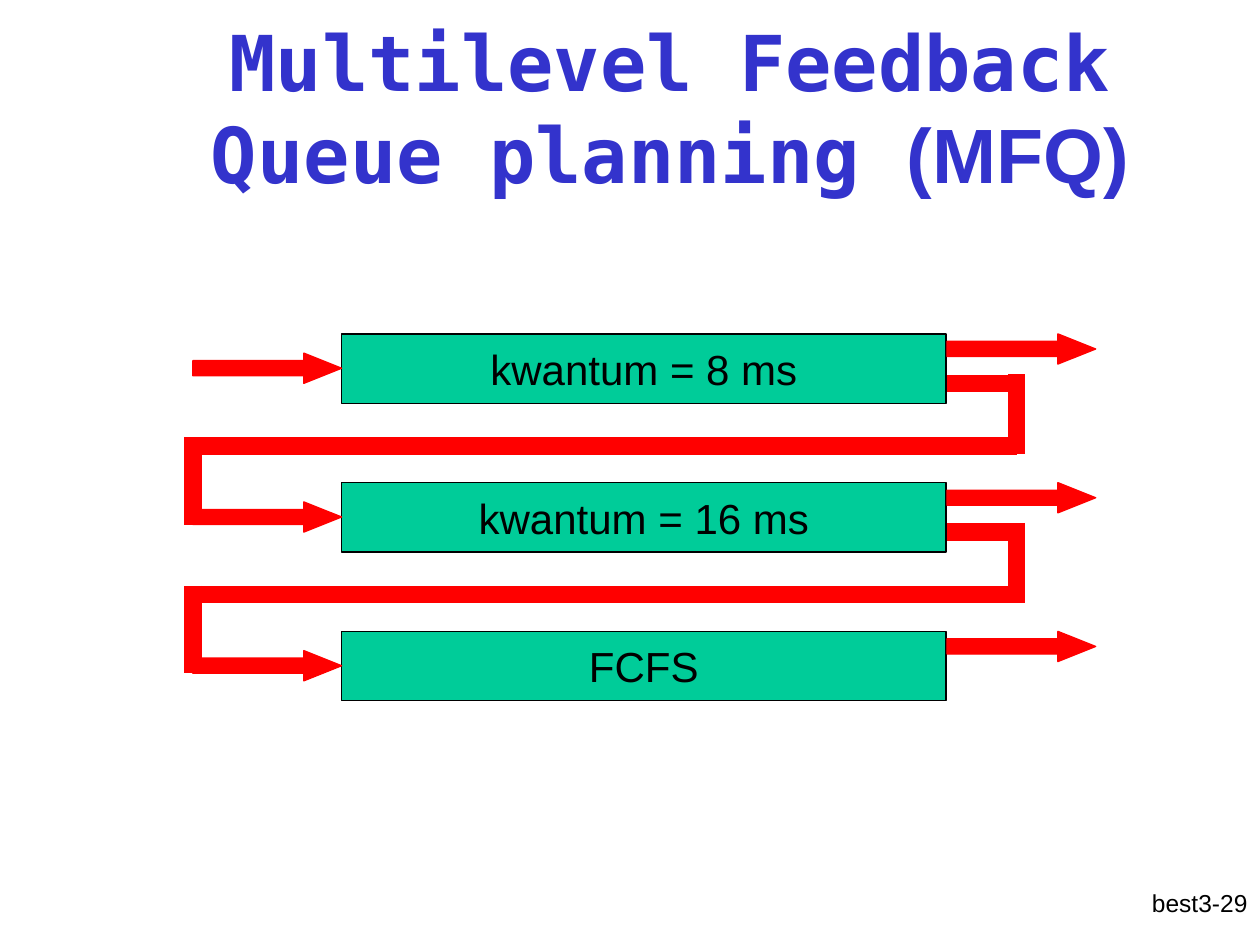
from lxml import etree
from pptx import Presentation
from pptx.dml.color import RGBColor
from pptx.enum import shapes, text
from pptx.oxml import ns
from pptx.util import Pt

COLORS = {"title": "3333CC", "queue": "00CC99", "flow": "FF0000", "ink": "000000"}
QUEUES = ["kwantum = 8 ms", "kwantum = 16 ms", "FCFS"]
LEFT, RIGHT, TOP, STEP = 195.1, 541.1, 190.8, 85
QUEUE_W, QUEUE_H = 345.6, 39.6
ARROW_W, ARROW_H = 85, 17.3
IN_X, OUT_X = 110.2, 581


def add_run(p, words, **font):
    r = p.add_run()
    r.text = words
    color = font.pop("color")
    for name, value in font.items():
        setattr(r.font, name, value)
    r.font.color.rgb = RGBColor.from_string(COLORS[color])


def add_block(kind, x, y, w, h, fill, line):
    sp = s.shapes.add_shape(kind, Pt(x), Pt(y), Pt(w), Pt(h))
    sp.shadow.inherit = False
    sp.fill.solid()
    sp.fill.fore_color.rgb = RGBColor.from_string(COLORS[fill])
    sp.line.color.rgb = RGBColor.from_string(COLORS[line])
    sp.line.width = Pt(0.75)
    return sp


prs = Presentation()
prs.slide_width, prs.slide_height = Pt(720), Pt(540)
s = prs.slides.add_slide(prs.slide_layouts[5])

# Slide number
sp = s.shapes.add_textbox(Pt(570), Pt(504), Pt(150), Pt(36))
sp.text_frame.word_wrap = True
p = sp.text_frame.paragraphs[0]
p.alignment = text.PP_ALIGN.RIGHT
add_run(p, "best3-29", name="Arial", size=Pt(14), color="ink")

# Title
title = s.shapes.title
title.left, title.top, title.width, title.height = Pt(77), Pt(16), Pt(612), Pt(90)
tf = title.text_frame
tf.auto_size = text.MSO_AUTO_SIZE.NONE
tf.vertical_anchor = text.MSO_ANCHOR.MIDDLE
p = tf.paragraphs[0]
p.alignment = text.PP_ALIGN.CENTER
title_font = {"size": Pt(44), "bold": True, "color": "title"}
add_run(p, "Multilevel Feedback Queue planning ", name="DejaVu Sans Mono", **title_font)
add_run(p, "(MFQ)", name="Arial", **title_font)

# Queues, each with an arrow in and an arrow out
for i, label in enumerate(QUEUES):
    y = TOP + i * STEP
    sp = add_block(shapes.MSO_SHAPE.RECTANGLE, LEFT, y, QUEUE_W, QUEUE_H, "queue", "ink")
    tf = sp.text_frame
    tf.word_wrap = False
    tf.vertical_anchor = text.MSO_ANCHOR.MIDDLE
    p = tf.paragraphs[0]
    p.alignment = text.PP_ALIGN.CENTER
    add_run(p, label, name="Arial", size=Pt(24), color="ink")
    for x, dy in [(IN_X, 11), (RIGHT, 0)]:
        arrow = add_block(shapes.MSO_SHAPE.RIGHT_ARROW, x, y + dy, ARROW_W, ARROW_H, "flow", "flow")
        arrow.adjustments[1] = 1.25

# Feedback from each queue to the next: out, down, back, down
FEEDBACK = [
    (RIGHT, 28.3, OUT_X, 28.3),
    (OUT_X, 23, OUT_X, 68.5),
    (IN_X, 64, OUT_X, 64),
    (IN_X, 59, IN_X, 109),
]
for i in range(len(QUEUES) - 1):
    y = TOP + i * STEP
    for x1, y1, x2, y2 in FEEDBACK:
        line = s.shapes.add_connector(
            shapes.MSO_CONNECTOR.STRAIGHT, Pt(x1), Pt(y + y1), Pt(x2), Pt(y + y2))
        line.line.color.rgb = RGBColor.from_string(COLORS["flow"])
        line.line.width = Pt(10)
        etree.SubElement(line._element.spPr, ns.qn("a:effectLst"))

prs.save("out.pptx")
